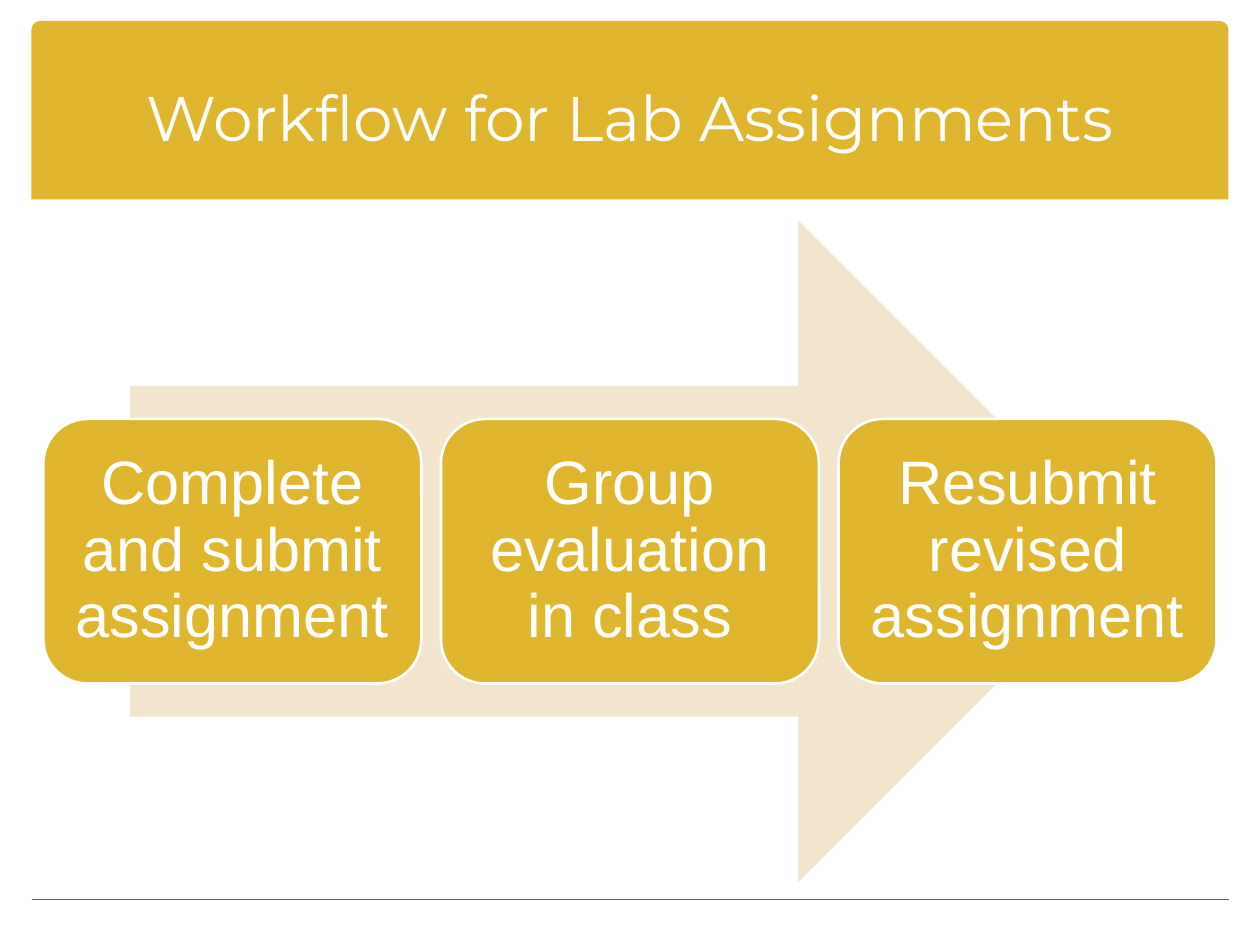
from dataclasses import dataclass

from pptx import Presentation
from pptx.dml.color import RGBColor
from pptx.enum.shapes import MSO_CONNECTOR as Connector, MSO_SHAPE as Preset
from pptx.enum.text import MSO_ANCHOR as Anchor, PP_ALIGN as Align
from pptx.oxml.ns import qn
from pptx.util import Pt
from lxml.etree import SubElement


@dataclass(frozen=True)
class Theme:
    """Colours, fonts and type sizes of the slide."""
    gold: str = "E0B62E"
    cream: str = "F3E5CD"
    slate: str = "5D5C64"
    white: str = "FFFFFF"
    title_font: str = "Montserrat"
    step_font: str = "Arial"
    title_size: float = 36
    step_size: float = 35


def assign(target, values):
    """Set each attribute of the target from a dict."""
    for name, value in values.items():
        setattr(target, name, value)


class SlideBuilder:
    """Draws styled elements on one slide, in points."""

    def __init__(self, page, theme):
        """Keep the page and its theme."""
        self.page = page
        self.theme = theme

    def shape(self, preset, bounds, fill, outline=None, width=1.5, adjustments=()):
        """Add a filled preset shape without a shadow."""
        box = self.page.shapes.add_shape(preset, *map(Pt, bounds))
        box.shadow.inherit = False
        box.fill.solid()
        box.fill.fore_color.rgb = RGBColor.from_string(fill)
        if outline:
            box.line.color.rgb = RGBColor.from_string(outline)
            box.line.width = Pt(width)
        else:
            box.line.fill.background()
        for index, value in enumerate(adjustments):
            box.adjustments[index] = value
        return box

    def rule(self, left, right, top, color, width=1):
        """Add a horizontal line."""
        line = self.page.shapes.add_connector(
            Connector.STRAIGHT, Pt(left), Pt(top), Pt(right), Pt(top))
        line.line.color.rgb = RGBColor.from_string(color)
        line.line.width = Pt(width)
        SubElement(line._element.spPr, qn("a:effectLst"))

    def label(self, box, text, font, size, margins, spacing=1.0):
        """Put centred white text into a box."""
        frame = box.text_frame
        across, down = map(Pt, margins)
        assign(frame, {
            "word_wrap": True, "vertical_anchor": Anchor.MIDDLE,
            "margin_left": across, "margin_right": across,
            "margin_top": down, "margin_bottom": down})
        para = frame.paragraphs[0]
        assign(para, {"alignment": Align.CENTER, "line_spacing": spacing})
        span = para.add_run()
        span.text = text
        assign(span.font, {"name": font, "size": Pt(size)})
        span.font.color.rgb = RGBColor.from_string(self.theme.white)

    def title(self, text, bounds):
        """Add the slide title."""
        box = self.page.shapes.add_textbox(*map(Pt, bounds))
        self.label(box, text, self.theme.title_font, self.theme.title_size, (7.2, 3.6))

    def step(self, text, bounds):
        """Add one rounded workflow step."""
        box = self.shape(Preset.ROUNDED_RECTANGLE, bounds,
                         self.theme.gold, self.theme.white)
        self.label(box, text, self.theme.step_font, self.theme.step_size,
                   (3.5, 3.5), 0.9)


def main():
    """Build and save the workflow slide."""
    deck = Presentation()
    assign(deck, {"slide_width": Pt(720), "slide_height": Pt(540)})
    theme = Theme()
    builder = SlideBuilder(deck.slides.add_slide(deck.slide_layouts[6]), theme)

    builder.shape(Preset.ROUND_2_SAME_RECTANGLE, (18, 12, 684, 102),
                  theme.gold, adjustments=(0.05, 0))
    builder.rule(18, 702, 514, theme.slate)
    builder.title("Workflow for Lab Assignments", (24, 21.6, 672, 90))

    builder.shape(Preset.RIGHT_ARROW, (74.2, 126, 571, 378), theme.cream)
    steps = ("Complete and submit assignment",
             "Group evaluation in class",
             "Resubmit revised assignment")
    width, gap = 216, 11.2
    left = (720 - len(steps) * width - (len(steps) - 1) * gap) / 2
    for index, text in enumerate(steps):
        builder.step(text, (left + index * (width + gap), 239.4, width, 151.2))

    deck.save("out.pptx")


main()
